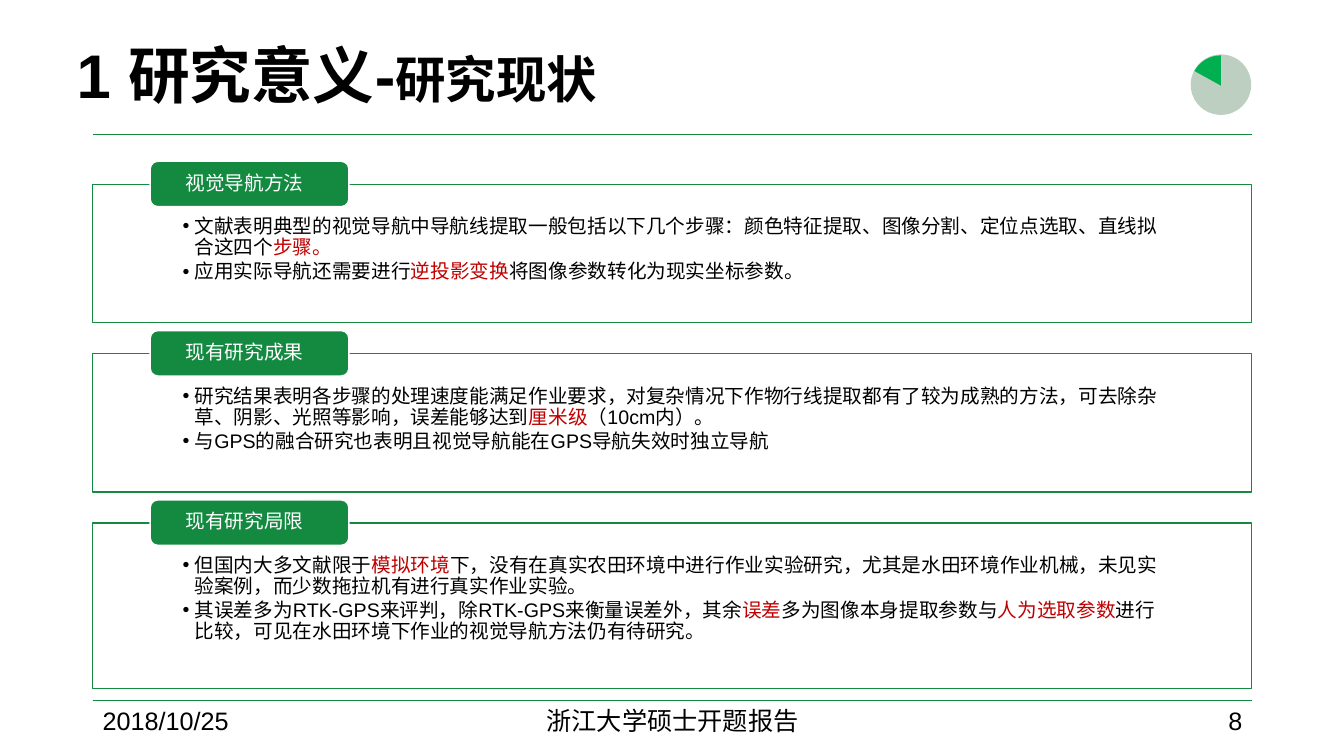
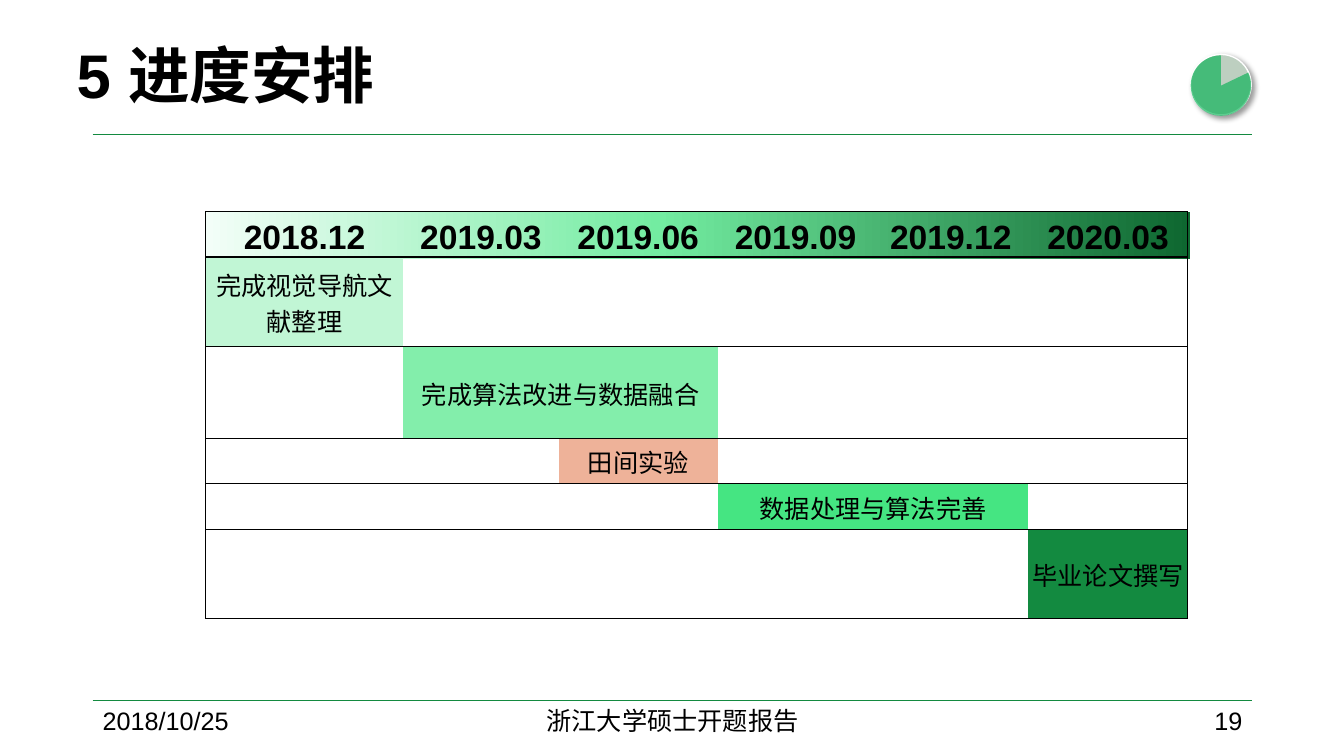
"""Build two slides of a thesis proposal: research status and schedule."""
from copy import deepcopy

from lxml.etree import SubElement as Sub
from pptx import Presentation
from pptx.dml.color import RGBColor
from pptx.enum.lang import MSO_LANGUAGE_ID as Lang
from pptx.enum.shapes import MSO_CONNECTOR as Link, MSO_SHAPE as Kind
from pptx.enum.text import MSO_ANCHOR as Anchor, MSO_AUTO_SIZE as Fit, PP_ALIGN as Align
from pptx.oxml.ns import qn
from pptx.util import Inches, Pt

FONT = "Arial"
BLACK = RGBColor(0x00, 0x00, 0x00)
WHITE = RGBColor(0xFF, 0xFF, 0xFF)
RED = RGBColor(0xC0, 0x00, 0x00)
GREEN = RGBColor(0x13, 0x8A, 0x40)
LIME = RGBColor(0x00, 0xB0, 0x50)
SAGE = RGBColor(0xBD, 0xCF, 0xC0)
MINT = RGBColor(0xC1, 0xF6, 0xD5)
FRESH = RGBColor(0x83, 0xEE, 0xAB)
VIVID = RGBColor(0x45, 0xE5, 0x82)
PEACH = RGBColor(0xEE, 0xB2, 0x99)
FADE = [(0, RGBColor(0xF3, 0xFE, 0xF8)), (0.46, RGBColor(0x73, 0xEC, 0xA1)),
        (1, RGBColor(0x0E, 0x67, 0x30))]

LEFT, RIGHT = 0.92, 12.42
DATE = "2018/10/25"
SCHOOL = "浙江大学硕士开题报告"

TOPICS = [
    ("视觉导航方法", 1.37, [
        [("文献表明典型的视觉导航中导航线提取一般包括以下几个步骤：颜色特征提取、"
          "图像分割、定位点选取、直线拟合这四个", BLACK), ("步骤。", RED)],
        [("应用实际导航还需要进行", BLACK), ("逆投影变换", RED),
         ("将图像参数转化为现实坐标参数。", BLACK)],
    ]),
    ("现有研究成果", 1.37, [
        [("研究结果表明各步骤的处理速度能满足作业要求，对复杂情况下作物行线提取都有了"
          "较为成熟的方法，可去除杂草、阴影、光照等影响，误差能够达到", BLACK),
         ("厘米级", RED), ("（10cm内）。", BLACK)],
        [("与GPS的融合研究也表明且视觉导航能在GPS导航失效时独立导航", BLACK)],
    ]),
    ("现有研究局限", 1.64, [
        [("但国内大多文献限于", BLACK), ("模拟环境", RED),
         ("下，没有在真实农田环境中进行作业实验研究，尤其是水田环境作业机械，"
          "未见实验案例，而少数拖拉机有进行真实作业实验。", BLACK)],
        [("其误差多为RTK-GPS来评判，除RTK-GPS来衡量误差外，其余", BLACK),
         ("误差", RED), ("多为图像本身提取参数与", BLACK), ("人为选取参数", RED),
         ("进行比较，可见在水田环境下作业的视觉导航方法仍有待研究。", BLACK)],
    ]),
]

MONTHS = ["2018.12", "2019.03", "2019.06", "2019.09", "2019.12", "2020.03"]
COLS = [1.96, 1.54, 1.58, 1.54, 1.54, 1.58]
ROWS = [0.45, 0.89, 0.91, 0.45, 0.45, 0.89]
TASKS = [
    ("完成视觉导航文献整理", 0, 0, MINT),
    ("完成算法改进与数据融合", 1, 2, FRESH),
    ("田间实验", 2, 2, PEACH),
    ("数据处理与算法完善", 3, 4, VIVID),
    ("毕业论文撰写", 5, 5, GREEN),
]


def area(*sizes):
    """Turn numbers into lengths in inches."""
    return [Inches(size) for size in sizes]


def write(para, text, size, color=BLACK, bold=False):
    """Add one run to a paragraph."""
    run = para.add_run()
    run.text = text
    font = run.font
    font.name, font.size, font.bold = FONT, Pt(size), bold
    font.color.rgb = color
    font.language_id = Lang.SIMPLIFIED_CHINESE


def pad(frame, left, top, right, low):
    """Set the four insets of a text frame or cell."""
    frame.margin_left, frame.margin_top, frame.margin_right, frame.margin_bottom = area(
        left, top, right, low)


def place(shape, left, top, width, height):
    """Move and size a shape."""
    shape.left, shape.top, shape.width, shape.height = area(left, top, width, height)


def rule(slide, top):
    """Draw a thin line across the slide."""
    line = slide.shapes.add_connector(Link.STRAIGHT, *area(LEFT, top, RIGHT, top))
    line.line.color.rgb, line.line.width = GREEN, Pt(0.75)
    Sub(line._element.spPr, qn("a:effectLst"))


def form(slide, kind, spot, color, edge=None):
    """Add a filled preset shape without shadow."""
    shape = slide.shapes.add_shape(kind, *area(*spot))
    shape.shadow.inherit = False
    shape.fill.solid()
    shape.fill.fore_color.rgb = color
    if edge is None:
        shape.line.fill.background()
    else:
        shape.line.color.rgb, shape.line.width = edge, Pt(1)
    return shape


def note(slide, spot, text, align):
    """Add a footer text box."""
    frame = slide.shapes.add_textbox(*area(*spot)).text_frame
    frame.word_wrap, frame.vertical_anchor = True, Anchor.MIDDLE
    para = frame.paragraphs[0]
    para.alignment = align
    write(para, text, 18)


def base(deck, style, page, title):
    """Add a slide with title, rules and footer."""
    slide = deck.slides.add_slide(deck.slide_layouts[style])
    for top in (6.95, 1.33):
        rule(slide, top)
    head = slide.shapes.title
    place(head, 0.66, 0.4, 10.84, 0.89)
    frame = head.text_frame
    frame.auto_size, frame.vertical_anchor = Fit.NONE, Anchor.TOP
    para = frame.paragraphs[0]
    para.alignment, para.line_spacing = Align.LEFT, 0.9
    for text, size in title:
        write(para, text, size, bold=True)
    note(slide, (LEFT, 6.95, 3, 0.4), DATE, Align.LEFT)
    note(slide, (4.42, 6.95, 4.5, 0.4), SCHOOL, Align.CENTER)
    note(slide, (9.42, 6.95, 3, 0.4), page, Align.RIGHT)
    return slide


def clear(paint, share):
    """Give a colour element an opacity in percent."""
    Sub(paint, qn("a:alpha"), val=str(share * 1000))


def shade(shape):
    """Add a soft shadow to a shape."""
    props = shape._element.spPr
    glow = Sub(props.find(qn("a:effectLst")), qn("a:outerShdw"), blurRad=str(Pt(4)),
               dist=str(Pt(3)), dir="2700000", algn="tl", rotWithShape="0")
    clear(Sub(glow, qn("a:srgbClr"), val=str(BLACK)), 40)


def dial(slide, angle, raised=False):
    """Draw the progress pie up to twelve o'clock."""
    disc = form(slide, Kind.OVAL, (11.81, 0.54, 0.6, 0.6), SAGE, WHITE if raised else None)
    pie = form(slide, Kind.PIE, (11.81, 0.55, 0.6, 0.6), LIME)
    pie.adjustments[0], pie.adjustments[1] = angle * 0.6, 270 * 0.6
    if raised:
        shade(disc)
        clear(pie._element.spPr.find(qn("a:solidFill"))[0], 63)


def topic(slide, body, top, name, height, points):
    """Fill a framed list and put its label on the edge."""
    place(body, LEFT, top, 11.49, height)
    body.fill.solid()
    body.fill.fore_color.rgb = WHITE
    body.line.color.rgb, body.line.width = GREEN, Pt(1)
    frame = body.text_frame
    frame.auto_size, frame.vertical_anchor = Fit.NONE, Anchor.TOP
    pad(frame, 0.89, 0.32, 0.89, 0.11)
    for num, point in enumerate(points):
        para = frame.add_paragraph() if num else frame.paragraphs[0]
        props = para._p.get_or_add_pPr()
        props.set("marL", str(Inches(0.12)))
        props.set("indent", str(-Inches(0.12)))
        Sub(props, qn("a:buFont"), typeface=FONT)
        Sub(props, qn("a:buChar"), char="•")
        para.alignment, para.line_spacing = Align.LEFT, 0.9
        para.space_before, para.space_after = Pt(0), Pt(2)
        for text, color in point:
            write(para, text, 14, color)
    tab = form(slide, Kind.ROUNDED_RECTANGLE, (1.49, top - 0.23, 1.97, 0.45), GREEN, WHITE)
    frame = tab.text_frame
    frame.word_wrap, frame.vertical_anchor = True, Anchor.MIDDLE
    pad(frame, 0.33, 0, 0.33, 0)
    para = frame.paragraphs[0]
    para.alignment, para.line_spacing = Align.LEFT, 0.9
    write(para, name, 14, WHITE)


def status(deck):
    """Build the research status slide."""
    slide = base(deck, 4, "8", [("1 研究意义-", 44), ("研究现状", 36)])
    dial(slide, 208.9)
    title, *bodies, spare = slide.placeholders
    spare._element.getparent().remove(spare._element)
    for num, (body, item) in enumerate(zip(bodies, TOPICS)):
        topic(slide, body, 1.83 + 1.68 * num, *item)


def border(cell, sides):
    """Draw black borders on the given sides only."""
    props = cell._tc.get_or_add_tcPr()
    for side in "LRTB":
        line = Sub(props, qn("a:ln" + side), w=str(Pt(1)))
        if side in sides:
            Sub(Sub(line, qn("a:solidFill")), qn("a:srgbClr"), val=str(BLACK))
        else:
            Sub(line, qn("a:noFill"))


def label(cell, text, size, anchor, bold=False):
    """Write centred text in a cell."""
    cell.vertical_anchor = anchor
    para = cell.text_frame.paragraphs[0]
    para.alignment = Align.CENTER
    write(para, text, size, bold=bold)


def chart(slide):
    """Add the schedule table with its task bars."""
    grid = slide.shapes.add_table(len(ROWS), len(COLS), *area(2.04, 2.1, sum(COLS), sum(ROWS))).table
    grid.first_row = grid.horz_banding = False
    for col, width in zip(grid.columns, COLS):
        col.width = Inches(width)
    for row, height in zip(grid.rows, ROWS):
        row.height = Inches(height)
        for num, cell in enumerate(row.cells):
            sides = "TB" + "L" * (num == 0) + "R" * (num == len(COLS) - 1)
            border(cell, sides)
            cell.fill.background()
            pad(cell, 0.01, 0.01, 0.01, 0)
    for num, month in enumerate(MONTHS):
        label(grid.cell(0, num), month, 24, Anchor.BOTTOM, True)
    for num, (text, start, end, color) in enumerate(TASKS, 1):
        cell = grid.cell(num, start)
        if end > start:
            cell.merge(grid.cell(num, end))
        cell.fill.solid()
        cell.fill.fore_color.rgb = color
        label(cell, text, 18, Anchor.MIDDLE)


def band(slide):
    """Draw the gradient behind the month row."""
    fill = form(slide, Kind.RECTANGLE, (2.04, 2.1, 9.76, 0.47), MINT).fill
    fill.gradient()
    fill.gradient_angle = 0
    first = fill.gradient_stops[0]._gs
    first.addnext(deepcopy(first))
    for stop, (spot, color) in zip(fill.gradient_stops, FADE):
        stop.position, stop.color.rgb = spot, color


def plan(deck):
    """Build the schedule slide."""
    slide = base(deck, 5, "19", [("5 进度安排", 44)])
    dial(slide, 334.5, True)
    band(slide)
    chart(slide)


def main():
    """Build and save the deck."""
    deck = Presentation()
    deck.slide_width, deck.slide_height = area(13.33, 7.5)
    status(deck)
    plan(deck)
    deck.save("out.pptx")


if __name__ == "__main__":
    main()
